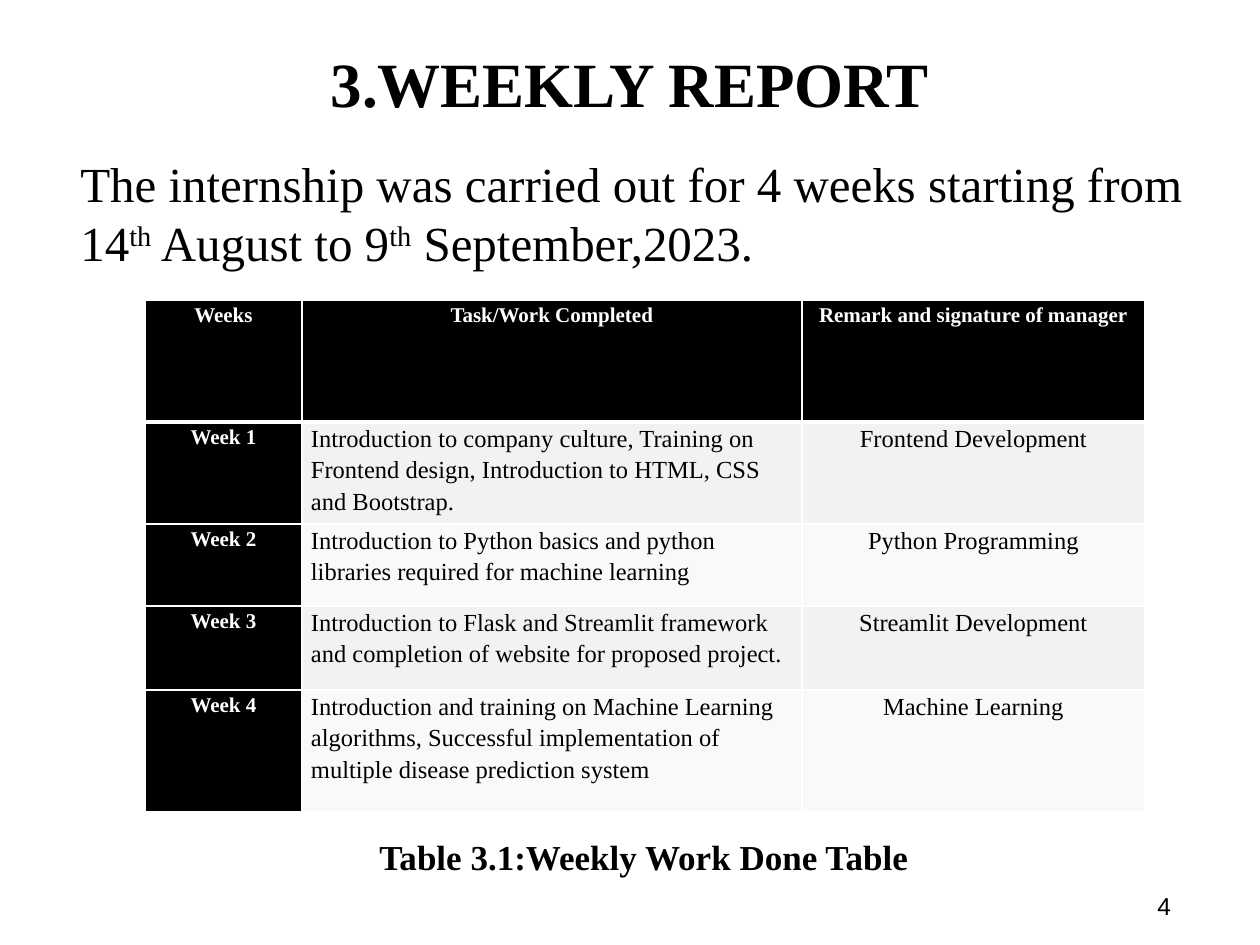
import pptx
import pptx.dml.color
import pptx.enum.text
import pptx.oxml
import pptx.oxml.ns
import pptx.util

RGBColor = pptx.dml.color.RGBColor
ALIGN = pptx.enum.text.PP_ALIGN
ANCHOR = pptx.enum.text.MSO_ANCHOR
AUTO_SIZE = pptx.enum.text.MSO_AUTO_SIZE

BLACK = RGBColor(0x00, 0x00, 0x00)
WHITE = RGBColor(0xFF, 0xFF, 0xFF)
ODD_BAND = RGBColor(0xF2, 0xF2, 0xF2)
EVEN_BAND = RGBColor(0xF9, 0xF9, 0xF9)

SERIF = "Times New Roman"
SANS = "Arial"
EMU_PER_PX = 914400 / 126

HEADINGS = ("Weeks", "Task/Work Completed", "Remark and signature of manager")
WEEKS = (
    ("Week 1", "Introduction to company culture, Training on Frontend design, "
     "Introduction to HTML, CSS and Bootstrap.", "Frontend Development"),
    ("Week 2", "Introduction to Python basics and python libraries required "
     "for machine learning", "Python Programming"),
    ("Week 3", "Introduction to Flask and Streamlit framework and completion "
     "of website for proposed project.", "Streamlit Development"),
    ("Week 4", "Introduction and training on Machine Learning algorithms, "
     "Successful implementation of multiple disease prediction system",
     "Machine Learning"),
)
COLUMN_WIDTHS = (157, 500, 343)
ROW_HEIGHTS = (122, 102, 82, 84, 122)


def px(length):
    return pptx.util.Emu(round(length * EMU_PER_PX))


def apply(target, values):
    for name, value in values.items():
        setattr(target, name, value)


class ReportSlide:
    def __init__(self, presentation):
        self.slide = presentation.slides.add_slide(presentation.slide_layouts[6])

    def add_runs(self, paragraph, runs, size, font=SERIF, color=BLACK, bold=False):
        for words, baseline in runs:
            run = paragraph.add_run()
            run.text = words
            apply(run.font, {"name": font, "size": pptx.util.Pt(size), "bold": bold})
            run.font.color.rgb = color
            if baseline:
                run._r.get_or_add_rPr().set("baseline", str(baseline * 1000))

    def text(self, box, runs, size, align=ALIGN.LEFT, anchor=ANCHOR.TOP,
             fit=AUTO_SIZE.SHAPE_TO_FIT_TEXT, **style):
        frame = self.slide.shapes.add_textbox(*map(px, box)).text_frame
        apply(frame, {"word_wrap": True, "auto_size": fit, "vertical_anchor": anchor})
        paragraph = frame.paragraphs[0]
        paragraph.alignment = align
        self.add_runs(paragraph, runs, size, **style)

    def borders(self, cell, widths):
        properties = cell._tc.get_or_add_tcPr()
        for side, width in widths.items():
            properties.append(pptx.oxml.parse_xml(
                f'<a:ln{side} {pptx.oxml.ns.nsdecls("a")} w="{pptx.util.Pt(width)}">'
                f'<a:solidFill><a:srgbClr val="{WHITE}"/></a:solidFill></a:ln{side}>'))

    def cell(self, cell, words, row, column):
        heading = row == 0 or column == 0
        band = ODD_BAND if row % 2 else EVEN_BAND
        self.borders(cell, {"L": 1, "R": 1, "T": 3 if row == 1 else 1,
                            "B": 3 if row == 0 else 1})
        cell.fill.solid()
        cell.fill.fore_color.rgb = BLACK if heading else band
        apply(cell, {"margin_left": px(9), "margin_right": px(9),
                     "margin_top": 0, "margin_bottom": 0})
        paragraph = cell.text_frame.paragraphs[0]
        centred = heading or column == 2
        apply(paragraph, {"alignment": ALIGN.CENTER if centred else ALIGN.LEFT,
                          "line_spacing": 1.15})
        self.add_runs(paragraph, [(words, 0)], 12 if heading else 14,
                      color=WHITE if heading else BLACK, bold=heading)

    def table(self, left, top, rows, widths, heights):
        table = self.slide.shapes.add_table(
            len(rows), len(widths), px(left), px(top),
            px(sum(widths)), px(sum(heights))).table
        for column, width in zip(table.columns, widths):
            column.width = px(width)
        for row, height in zip(table.rows, heights):
            row.height = px(height)
        for row, entries in enumerate(rows):
            for column, words in enumerate(entries):
                self.cell(table.cell(row, column), words, row, column)


def main():
    presentation = pptx.Presentation()
    apply(presentation, {"slide_width": px(1260), "slide_height": px(945)})
    report = ReportSlide(presentation)
    report.text((63, 19, 1134, 127), [("3.WEEKLY REPORT", 0)], 36,
                align=ALIGN.CENTER, anchor=ANCHOR.MIDDLE,
                fit=AUTO_SIZE.NONE, bold=True)
    report.table(145, 300, (HEADINGS, *WEEKS), COLUMN_WIDTHS, ROW_HEIGHTS)
    report.text((1145, 885, 39, 43), [("4", 0)], 14, font=SANS)
    report.text((367, 829, 683, 55), [("Table 3.1:Weekly Work Done Table", 0)],
                20, bold=True)
    report.text((68, 147, 1137, 131), [
        ("The internship was carried out for 4 weeks starting from 14", 0),
        ("th", 30), (" August to 9", 0), ("th", 30), (" September,2023.", 0)], 28)
    presentation.save("out.pptx")


if __name__ == "__main__":
    main()
